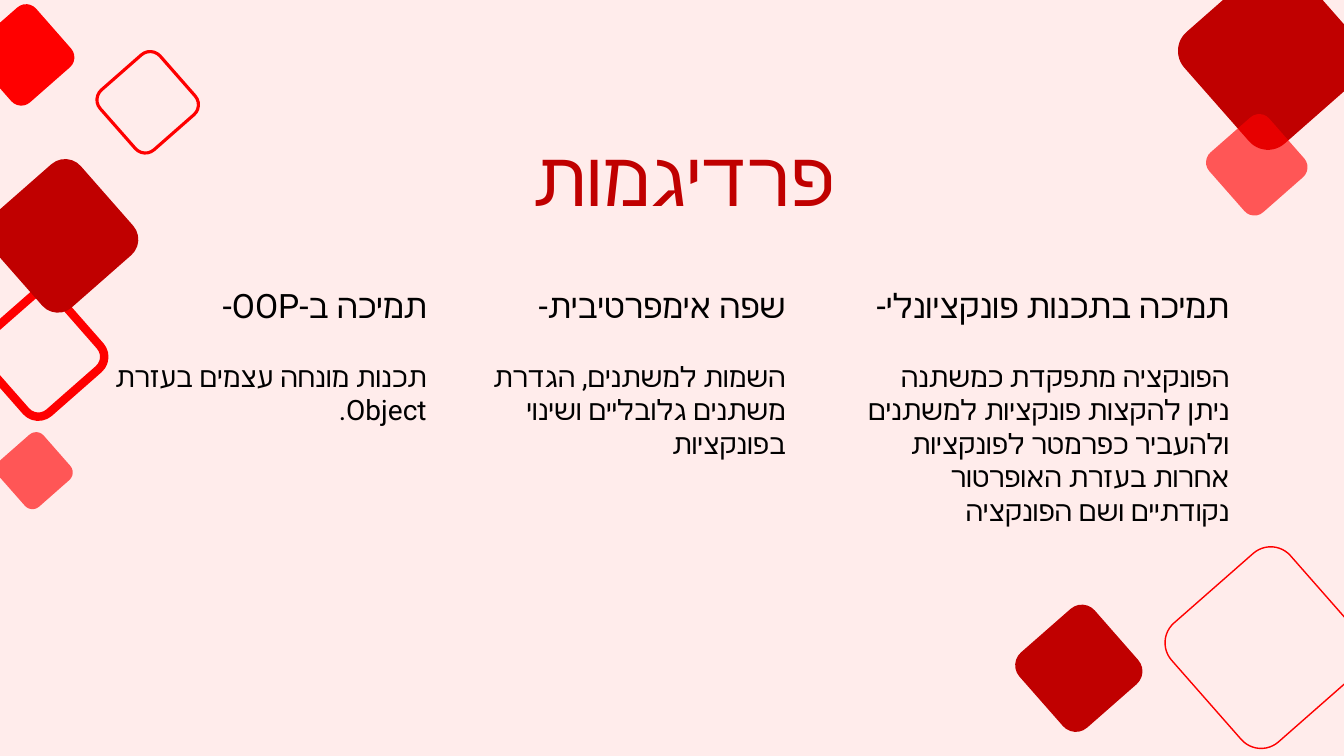
import pptx
import pptx.util
import pptx.dml.color
import pptx.enum.shapes
import pptx.enum.text
import pptx.oxml
import pptx.oxml.ns

Inches = pptx.util.Inches
Pt = pptx.util.Pt
SHAPE = pptx.enum.shapes.MSO_SHAPE
DARK, RED, EDGE, PINK, BLACK = "C00000", "FF0000", "FE0000", "FFECEB", "000000"
TILT = 48.7

# left, top, side, fill, fill opacity in percent, line colour, line width
TILES = [
    (11.89, -0.18, 1.46, DARK, 100, DARK, 1),
    (12.07, 1.24, 0.79, RED, 63, None, 0),
    (11.77, 5.64, 1.57, None, 100, EDGE, 1),
    (1.07, 0.62, 0.79, None, 100, EDGE, 2.25),
    (-0.16, 0.15, 0.79, RED, 100, None, 0),
    (-0.08, 3.02, 0.98, None, 100, EDGE, 6),
    (0.02, 1.75, 1.18, DARK, 100, DARK, 1.5),
    (0.04, 4.37, 0.6, RED, 63, None, 0),
    (10.21, 6.14, 0.98, DARK, 100, DARK, 1),
]

# left, width, height, heading, body paragraphs
COLUMNS = [
    (8.5, 3.79, 3.2, "תמיכה בתכנות פונקציונלי-", [
        "הפונקציה מתפקדת כמשתנה",
        "ניתן להקצות פונקציות למשתנים ולהעביר כפרמטר לפונקציות "
        "אחרות בעזרת האופרטור נקודתיים ושם הפונקציה"]),
    (4.41, 3.48, 2.52, "שפה אימפרטיבית-", [
        "השמות למשתנים, הגדרת משתנים גלובליים ושינוי בפונקציות"]),
    (0.54, 3.79, 2.19, "תמיכה ב-OOP-", [
        "תכנות מונחה עצמים בעזרת Object."]),
]


def color(code):
    return pptx.dml.color.RGBColor.from_string(code)


def add_block(slide, kind, left, top, width, height, fill,
              alpha=100, line=None, weight=0):
    """Add a preset shape with an optional fill and outline."""
    shape = slide.shapes.add_shape(
        kind, Inches(left), Inches(top), Inches(width), Inches(height))
    shape.shadow.inherit = False
    if fill:
        shape.fill.solid()
        shape.fill.fore_color.rgb = color(fill)
        if alpha < 100:
            tone = shape.fill._xPr.find(".//" + pptx.oxml.ns.qn("a:srgbClr"))
            mark = pptx.oxml.parse_xml(
                f'<a:alpha {pptx.oxml.ns.nsdecls("a")} val="{alpha * 1000}"/>')
            tone.append(mark)
    else:
        shape.fill.background()
    if line:
        shape.line.color.rgb = color(line)
        shape.line.width = Pt(weight)
    else:
        shape.line.fill.background()
    return shape


def add_tile(slide, left, top, side, *style):
    """Add a tilted square with round corners."""
    tile = add_block(slide, SHAPE.ROUNDED_RECTANGLE,
                     left, top, side, side, *style)
    tile.rotation = TILT


def add_text(slide, left, top, width, height, items, font, ink, wrap=True):
    """Add right-to-left text; items hold text, size and space before."""
    box = slide.shapes.add_textbox(
        Inches(left), Inches(top), Inches(width), Inches(height))
    frame = box.text_frame
    frame.word_wrap = wrap
    frame.auto_size = pptx.enum.text.MSO_AUTO_SIZE.SHAPE_TO_FIT_TEXT
    for index, (text, size, gap) in enumerate(items):
        para = frame.add_paragraph() if index else frame.paragraphs[0]
        para.text = text
        para.alignment = pptx.enum.text.PP_ALIGN.RIGHT
        para.space_before = Pt(gap)
        para.font.size = Pt(size)
        para.font.name = font
        para.font.color.rgb = color(ink)
        para._p.get_or_add_pPr().set("rtl", "1")
        # Hebrew letters take the complex-script font
        for run in para.runs:
            script = pptx.oxml.parse_xml(
                f'<a:cs {pptx.oxml.ns.nsdecls("a")} typeface="{font}"/>')
            run._r.get_or_add_rPr().append(script)


def main():
    deck = pptx.Presentation()
    deck.slide_width = Inches(13.33)
    deck.slide_height = Inches(7.5)
    slide = deck.slides.add_slide(deck.slide_layouts[6])

    # Backdrop
    add_block(slide, SHAPE.RECTANGLE, 0, 0, 13.33, 7.5, PINK)

    # Title
    add_text(slide, 4.96, 1.24, 3.41, 1.03, [("פרדיגמות", 55, 0)],
             "Lato", DARK, wrap=False)

    # Three columns of text
    for left, width, height, head, body in COLUMNS:
        items = [(head, 24, 0)]
        items += [(text, 20, 0 if index else 24)
                  for index, text in enumerate(body)]
        add_text(slide, left, 2.78, width, height, items, "Roboto", BLACK)

    # Tilted tiles
    for tile in TILES:
        add_tile(slide, *tile)

    deck.save("out.pptx")


if __name__ == "__main__":
    main()
